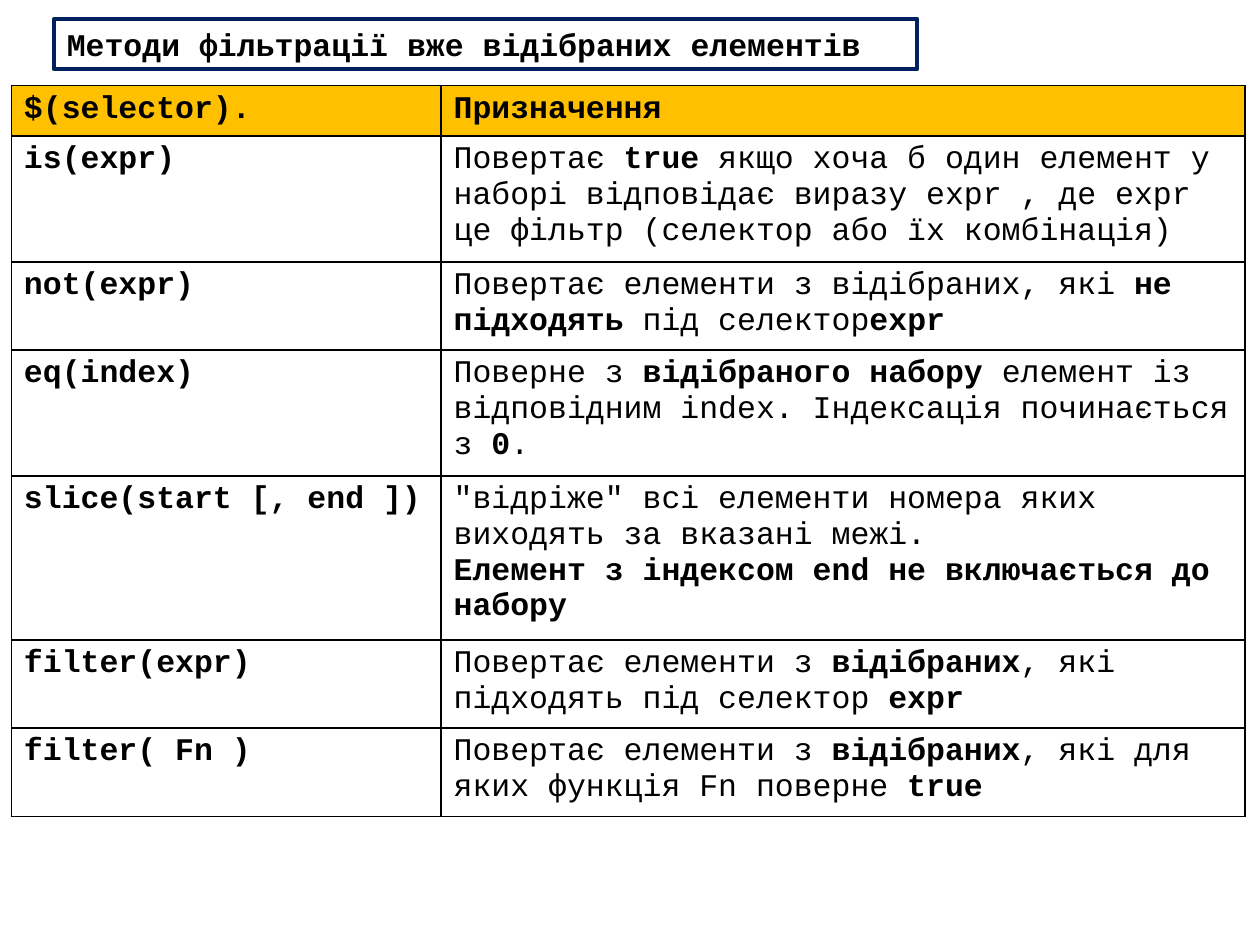
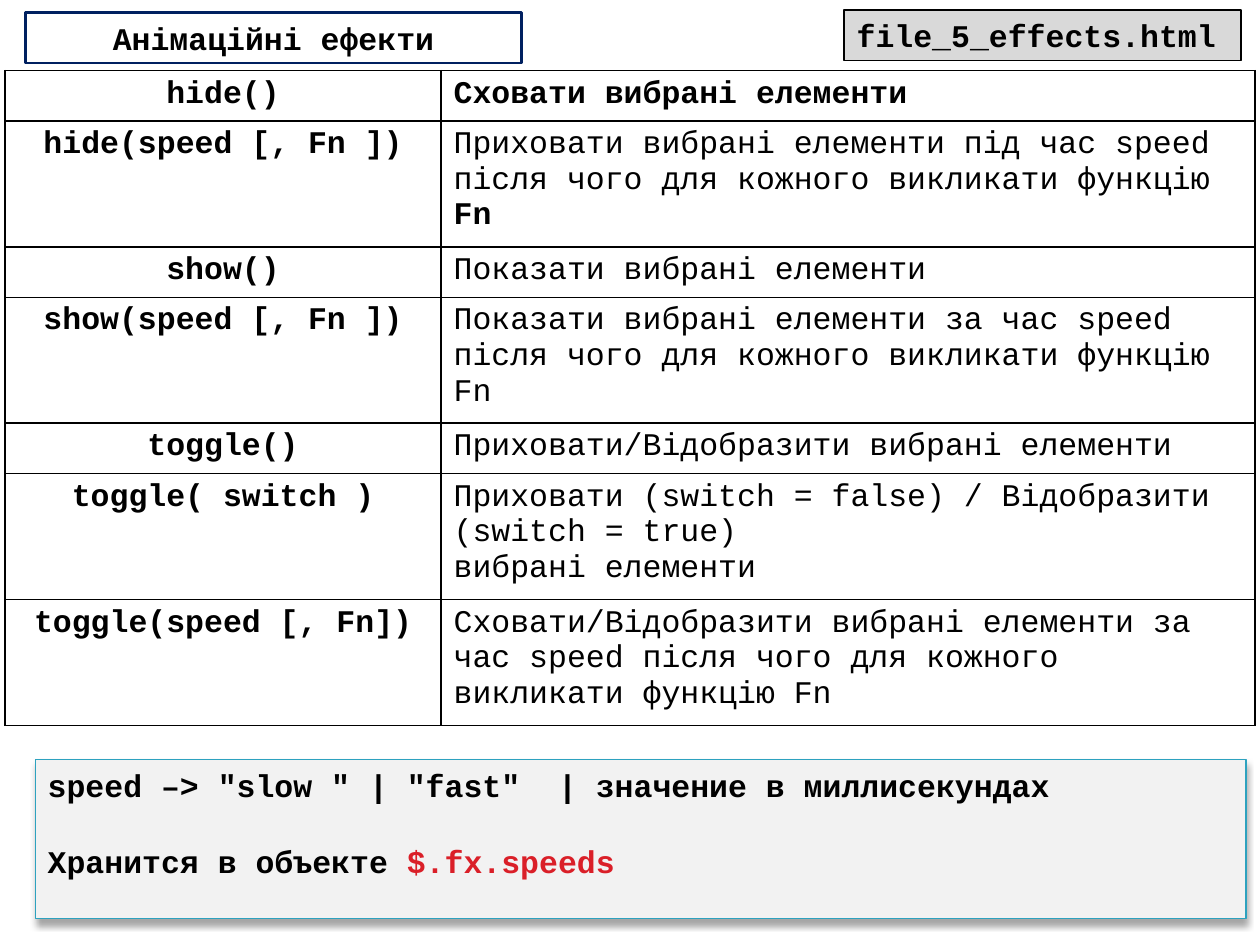
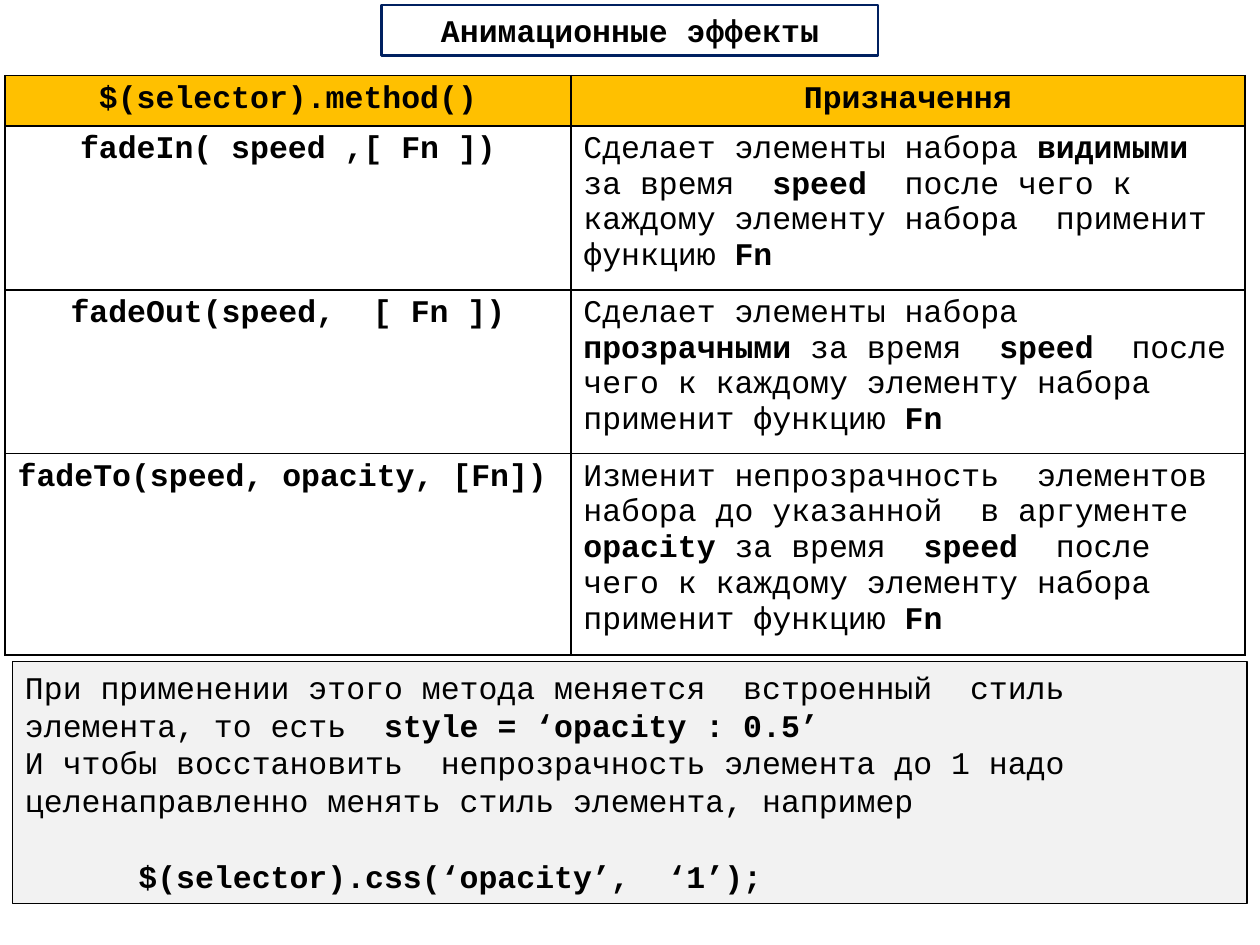
from lxml import etree
from pptx import Presentation
from pptx.dml.color import RGBColor
from pptx.enum.shapes import MSO_SHAPE
from pptx.enum.text import MSO_ANCHOR, MSO_AUTO_SIZE, PP_ALIGN
from pptx.oxml import parse_xml
from pptx.oxml.ns import nsdecls, qn
from pptx.util import Inches, Pt

LEFT, CENTER = PP_ALIGN.LEFT, PP_ALIGN.CENTER
TOP = MSO_ANCHOR.TOP
NO_AUTOFIT = MSO_AUTO_SIZE.NONE
RECTANGLE = MSO_SHAPE.RECTANGLE
TITLE_ONLY = 5

FONT, SIZE = "Courier New", 18
BLACK, WHITE, NAVY, AMBER = "000000", "FFFFFF", "002060", "FFC000"
GREY, PALE, TEAL, RED = "D9D9D9", "F2F2F2", "2DA2BF", "DA1F28"
BOX_HEIGHT = 0.4

FILTER_ROWS = [
    ("$(selector).", "*Призначення*", 1),
    ("is(expr)", "Повертає *true *якщо хоча б один елемент у наборі відповідає виразу expr , "
     "де expr це фільтр (селектор або їх комбінація)", 3),
    ("not(expr)", "Повертає елементи з відібраних, які *не підходять *під селектор*expr*", 2),
    ("eq(index)", "Поверне з *відібраного набору *елемент із відповідним index. "
     "Індексація починається з *0*.", 3),
    ("slice(start [, end ])", "\"відріже\" всі елементи номера яких виходять за вказані межі.\n"
     "*Елемент з індексом end не включається до набору*", 4),
    ("filter(expr)", "Повертає елементи з *відібраних*, які підходять під селектор *expr*", 2),
    ("filter( Fn )", "Повертає елементи з *відібраних*, які для яких функція Fn поверне *true*", 2),
]
TOGGLE_ROWS = [
    ("hide()", "*Сховати вибрані елементи*", 1),
    ("hide(speed [, Fn ])", "Приховати вибрані елементи під час speed\n"
     "після чого для кожного викликати функцію *Fn*", 3),
    ("show()", "Показати вибрані елементи", 1),
    ("show(speed [, Fn ])", "Показати вибрані елементи за час speed після чого "
     "для кожного викликати функцію Fn", 3),
    ("toggle()", "Приховати/Відобразити вибрані елементи", 1),
    ("toggle( switch )", "Приховати (switch = false) / Відобразити (switch = true)\n"
     "вибрані елементи", 3),
    ("toggle(speed [, Fn])", "Сховати/Відобразити вибрані елементи за час speed після чого "
     "для кожного викликати функцію Fn", 3),
]
FADE_ROWS = [
    ("$(selector).method()", "*Призначення*", 1),
    ("fadeIn( speed ,[ Fn ])", "Сделает элементы набора *видимыми* за время  *speed  *"
     "после чего к каждому элементу набора  применит функцию *Fn*", 4),
    ("fadeOut(speed,  [ Fn ])", "Сделает элементы набора *прозрачными* за время  *speed  *"
     "после чего к каждому элементу набора  применит функцию *Fn*", 4),
    ("fadeTo(speed, opacity, [Fn])", "Изменит непрозрачность  элементов набора до указанной  "
     "в аргументе * opacity *за время  *speed  *"
     "после чего к каждому элементу набора применит функцию *Fn*", 5),
]
SPEED_NOTE = ("*speed –> \"slow \" | \"fast\"  | значение в миллисекундах*\n"
              "*Хранится в объекте **$.fx.speeds*")
OPACITY_NOTE = ("При применении этого метода меняется  встроенный  стиль элемента, то есть  "
                "*style = ‘opacity : 0.5’*\n"
                "И чтобы восстановить  непрозрачность элемента до 1 надо целенаправленно "
                "менять стиль элемента, например\n"
                "*$(selector).css(‘opacity’,  ‘1’);*")


def color(value):
    """Turn a hex string into a colour."""
    return RGBColor.from_string(value)


def write(frame, text, align=LEFT):
    """Write one paragraph a line, with bold spans between asterisks."""
    for number, line in enumerate(text.split("\n")):
        para = frame.add_paragraph() if number else frame.paragraphs[0]
        para.alignment = align
        para.line_spacing = 1.0
        for index, piece in enumerate(line.split("*")):
            if piece:
                span = para.add_run()
                span.text = piece
                span.font.name = FONT
                span.font.size = Pt(SIZE)
                span.font.bold = index % 2 == 1
                span.font.color.rgb = color(BLACK)


def format_box(shape, box, text, fill, line, width, align=LEFT):
    """Place a framed box and write its text from the top."""
    shape.left, shape.top, shape.width, shape.height = map(Inches, box)
    shape.fill.solid()
    shape.fill.fore_color.rgb = color(fill)
    shape.line.color.rgb = color(line)
    shape.line.width = Pt(width)
    frame = shape.text_frame
    frame.word_wrap = True
    frame.auto_size = NO_AUTOFIT
    frame.vertical_anchor = TOP
    frame.margin_left = frame.margin_right = Inches(0.1)
    frame.margin_top = frame.margin_bottom = Inches(0.05)
    write(frame, text, align)


def add_titled_slide(deck, left, top, width, title, line_width=1.5, align=CENTER):
    """Add a slide with a framed title."""
    page = deck.slides.add_slide(deck.slide_layouts[TITLE_ONLY])
    format_box(page.shapes.title, (left, top, width, BOX_HEIGHT), f"*{title}*",
               WHITE, NAVY, line_width, align)
    return page


def add_note(page, box, text, fill, line, width):
    """Add a filled rectangle with text."""
    note = page.shapes.add_shape(RECTANGLE, *map(Inches, box))
    note.shadow.inherit = False
    format_box(note, box, text, fill, line, width)
    return note


def add_shadow(shape):
    """Drop a soft shadow below a shape."""
    effects = shape.element.spPr.find(qn("a:effectLst"))
    shadow = etree.SubElement(effects, qn("a:outerShdw"), blurRad=str(Pt(4)), dist=str(Pt(3)),
                              dir="5400000", rotWithShape="0")
    tint = etree.SubElement(shadow, qn("a:srgbClr"), val=BLACK)
    etree.SubElement(tint, qn("a:alpha"), val="35000")


def add_borders(cell):
    """Draw a thin line on each side of a cell."""
    properties = cell._tc.get_or_add_tcPr()
    for side in ("lnL", "lnR", "lnT", "lnB"):
        properties.append(parse_xml(
            f'<a:{side} {nsdecls("a")} w="{Pt(1)}"><a:solidFill><a:srgbClr val="{BLACK}"/>'
            f'</a:solidFill></a:{side}>'))


def add_method_table(page, left, top, widths, rows, header=True, name_align=CENTER,
                     header_align=LEFT):
    """Add a table of methods and purposes, its row heights set by line counts."""
    heights = [0.1 + 0.3 * lines for _, _, lines in rows]
    table = page.shapes.add_table(len(rows), 2, Inches(left), Inches(top),
                                  Inches(sum(widths)), Inches(sum(heights))).table
    table.first_row = table.horz_banding = False
    for column, width in zip(table.columns, widths):
        column.width = Inches(width)
    for index, (name, purpose, _) in enumerate(rows):
        table.rows[index].height = Inches(heights[index])
        is_header = header and index == 0
        aligns = (name_align, header_align if is_header else LEFT)
        for column, text in enumerate((f"*{name}*", purpose)):
            cell = table.cell(index, column)
            add_borders(cell)
            if is_header:
                cell.fill.solid()
                cell.fill.fore_color.rgb = color(AMBER)
            else:
                cell.fill.background()
            write(cell.text_frame, text, aligns[column])
    return table


def build_filter_slide(deck):
    """Build the slide on filtering methods."""
    page = add_titled_slide(deck, 0.43, 0.15, 6.85, "Методи фільтрації вже відібраних елементів",
                            2.25, LEFT)
    add_method_table(page, 0.09, 0.68, (3.41, 6.38), FILTER_ROWS, name_align=LEFT)


def build_toggle_slide(deck):
    """Build the slide on hiding and showing."""
    page = add_titled_slide(deck, 0.2, 0.1, 3.94, "Анімаційні ефекти")
    add_method_table(page, 0.04, 0.56, (3.46, 6.46), TOGGLE_ROWS, header=False)
    add_note(page, (6.7, 0.08, 3.15, BOX_HEIGHT), "*file_5_effects.html*", GREY, BLACK, 1)
    note = add_note(page, (0.28, 6.03, 9.61, 1.26), SPEED_NOTE, PALE, TEAL, 0.75)
    add_shadow(note)
    storage = note.text_frame.paragraphs[-1]
    storage.space_before = Pt(22)
    storage.runs[-1].font.color.rgb = color(RED)


def build_fade_slide(deck):
    """Build the slide on fading."""
    page = add_titled_slide(deck, 3.03, 0.04, 3.94, "Анимационные эффекты")
    table = add_method_table(page, 0.04, 0.6, (4.49, 5.35), FADE_ROWS, header_align=CENTER)
    table.cell(len(FADE_ROWS) - 1, 0).text_frame.paragraphs[0].alignment = LEFT
    note = add_note(page, (0.1, 5.25, 9.8, 1.92), OPACITY_NOTE, PALE, BLACK, 1)
    code = note.text_frame.paragraphs[-1]
    code.space_before = Pt(22)
    code._p.get_or_add_pPr().set("marL", str(Inches(0.9)))


def main():
    """Build and save the deck."""
    deck = Presentation()
    deck.slide_width, deck.slide_height = Inches(10), Inches(7.5)
    build_filter_slide(deck)
    build_toggle_slide(deck)
    build_fade_slide(deck)
    deck.save("out.pptx")


if __name__ == "__main__":
    main()
